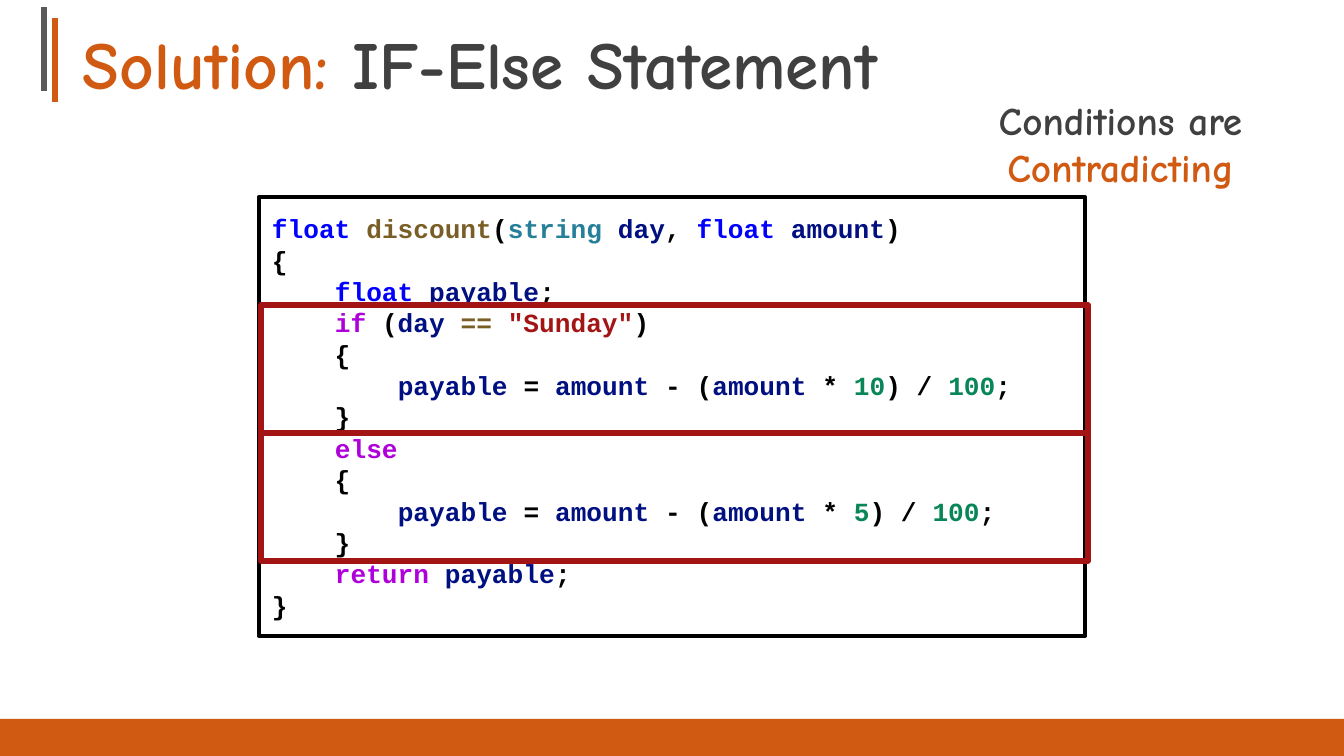
from dataclasses import dataclass

from lxml import etree
from pptx import Presentation
from pptx import util as u
from pptx.dml.color import RGBColor
from pptx.enum import shapes, text
from pptx.oxml.ns import qn

EMU_PER_PX = 914400 / 134.4
INSET = 13
COLORS = {
    "accent": "D15A12",
    "heading": "404040",
    "gray": "595959",
    "black": "000000",
    "keyword": "0000FF",
    "control": "AF00DB",
    "function": "795E26",
    "type": "267F99",
    "variable": "001080",
    "number": "098658",
    "string": "A31515",
}
TOKEN_COLORS = {
    "float": "keyword",
    "discount": "function",
    "==": "function",
    "string": "type",
    "day": "variable",
    "amount": "variable",
    "payable": "variable",
    "if": "control",
    "else": "control",
    "return": "control",
    '"Sunday"': "string",
    "5": "number",
    "10": "number",
    "100": "number",
}
CODE = """float| |discount|(|string| |day|, |float| |amount|)
{
    |float| |payable|;
    |if| (|day| |==| |"Sunday"|)
    {
        |payable| = |amount| - (|amount| * |10|) / |100|;
    }
    |else
    {
        |payable| = |amount| - (|amount| * |5|) / |100|;
    }
    |return| |payable|;
}"""


@dataclass
class Box:
    left: int
    top: int
    width: int
    height: int
    fill: str | None = None
    line: str | None = None
    weight: float = 0


@dataclass
class Bar:
    x: int
    top: int
    color: str


@dataclass
class Span:
    text: str
    color: str


BARS = [Bar(55, 18, "accent"), Bar(44, 7, "gray")]
BAR_LENGTH = 84
FOOTER = Box(0, 719, 1344, 37, fill="accent")
TITLE = Box(0, 0, 1344, 116)
NOTE = Box(900, 83, 441, 122)
CODE_BOX = Box(259, 197, 826, 439, line="black", weight=2.25)
BRANCHES = [Box(261, 305 + 128 * i, 827, 128, line="string", weight=3) for i in range(2)]


def px(value: int) -> u.Emu:
    return u.Emu(round(value * EMU_PER_PX))


def rgb(name: str) -> RGBColor:
    return RGBColor.from_string(COLORS[name])


def draw_bar(slide, bar: Bar) -> None:
    connector = slide.shapes.add_connector(
        shapes.MSO_CONNECTOR.STRAIGHT,
        px(bar.x), px(bar.top), px(bar.x), px(bar.top + BAR_LENGTH))
    connector.line.color.rgb = rgb(bar.color)
    connector.line.width = u.Pt(3)
    properties = connector._element.spPr
    etree.SubElement(properties, qn("a:effectLst"))


def draw_box(slide, box: Box):
    shape = slide.shapes.add_shape(
        shapes.MSO_SHAPE.RECTANGLE,
        px(box.left), px(box.top), px(box.width), px(box.height))
    shape.shadow.inherit = False
    if box.fill:
        shape.fill.solid()
        shape.fill.fore_color.rgb = rgb(box.fill)
    else:
        shape.fill.background()
    if box.line:
        shape.line.color.rgb = rgb(box.line)
        shape.line.width = u.Pt(box.weight)
    else:
        shape.line.fill.background()
    return shape


def set_frame(frame, anchor: text.MSO_ANCHOR, left: int = INSET) -> None:
    frame.word_wrap = True
    frame.vertical_anchor = anchor
    frame.margin_left = px(left)
    frame.margin_right = frame.margin_top = frame.margin_bottom = px(INSET)


def write_spans(paragraph, spans: list[Span], font: str, size: int,
                alignment: text.PP_ALIGN = text.PP_ALIGN.LEFT) -> None:
    paragraph.alignment = alignment
    for span in spans:
        run = paragraph.add_run()
        run.text = span.text
        run.font.name = font
        run.font.size = u.Pt(size)
        run.font.bold = True
        run.font.color.rgb = rgb(span.color)


def add_text(slide, box: Box, anchor: text.MSO_ANCHOR, left: int, spans: list[Span],
             size: int, alignment: text.PP_ALIGN) -> None:
    shape = slide.shapes.add_textbox(
        px(box.left), px(box.top), px(box.width), px(box.height))
    set_frame(shape.text_frame, anchor, left)
    write_spans(shape.text_frame.paragraphs[0], spans, "Comic Neue", size, alignment)


def draw_code(slide) -> None:
    frame = draw_box(slide, CODE_BOX).text_frame
    set_frame(frame, text.MSO_ANCHOR.MIDDLE)
    for index, line in enumerate(CODE.split("\n")):
        paragraph = frame.add_paragraph() if index else frame.paragraphs[0]
        paragraph.line_spacing = u.Pt(16.8)
        spans = [Span(token, TOKEN_COLORS.get(token, "black")) for token in line.split("|")]
        write_spans(paragraph, spans, "Courier New", 14)


def main() -> None:
    presentation = Presentation()
    presentation.slide_width = px(1344)
    presentation.slide_height = px(756)
    slide = presentation.slides.add_slide(presentation.slide_layouts[6])
    for bar in BARS:
        draw_bar(slide, bar)
    draw_box(slide, FOOTER)
    add_text(slide, TITLE, text.MSO_ANCHOR.BOTTOM, 83,
             [Span("Solution: ", "accent"), Span("IF-Else Statement", "heading")],
             36, text.PP_ALIGN.LEFT)
    draw_code(slide)
    for branch in BRANCHES:
        draw_box(slide, branch)
    add_text(slide, NOTE, text.MSO_ANCHOR.TOP, INSET,
             [Span("Conditions are ", "heading"), Span("Contradicting", "accent")],
             21, text.PP_ALIGN.CENTER)
    presentation.save("out.pptx")


if __name__ == "__main__":
    main()
